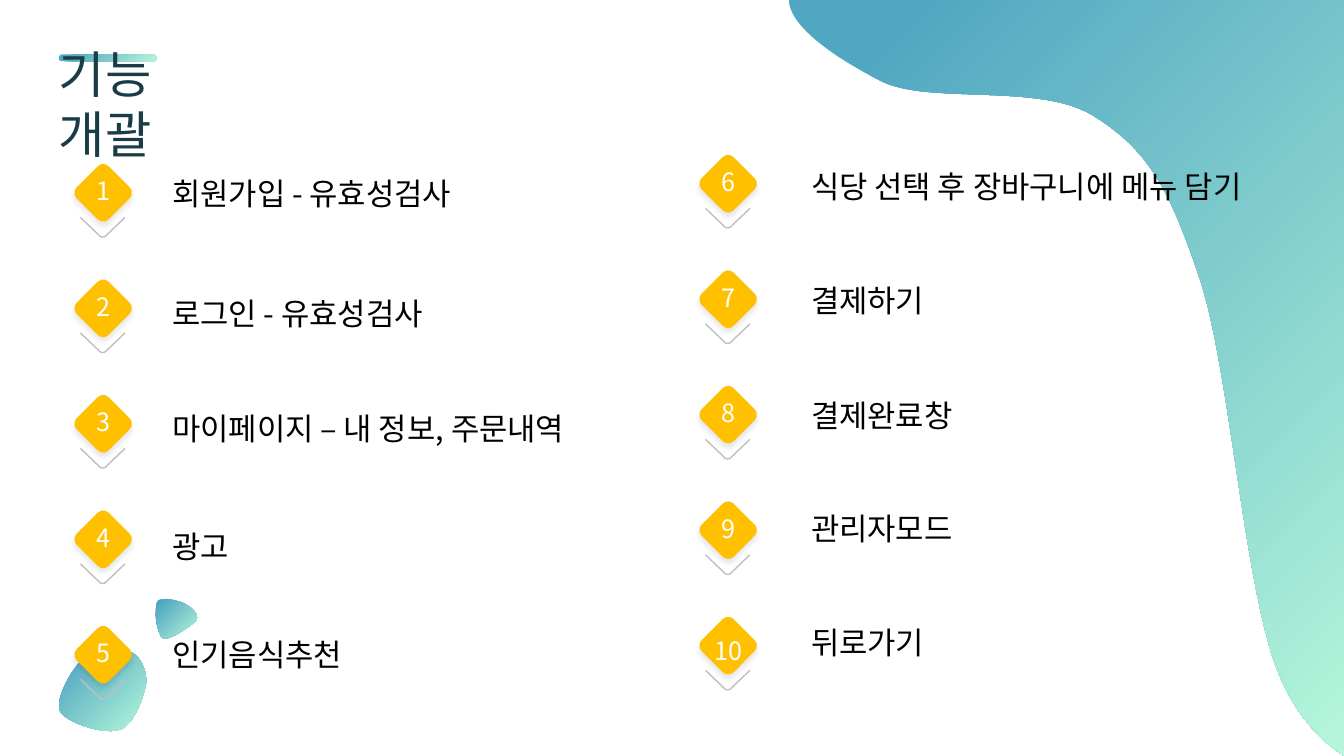
from lxml.etree import SubElement
from pptx import Presentation
from pptx.dml.color import RGBColor
from pptx.enum.shapes import MSO_SHAPE as Preset
from pptx.enum.text import MSO_ANCHOR as Anchor, PP_ALIGN as Align
from pptx.oxml import parse_xml
from pptx.oxml.ns import nsdecls, qn
from pptx.util import Cm, Pt

FONT = "Noto Sans CJK KR"
TEAL, MINT, AMBER, GREY = "51A7C2", "B5F6DA", "FFC000", "BFBFBF"
NAVY, BLACK, WHITE = "193C47", "000000", "FFFFFF"

# Outlines in cm: a start point, then lines (x, y) and curves (x1, y1, x2, y2, x, y)
WAVE = [
    (19.89, 0), (33.87, 0), (33.87, 19.05), (33.68, 18.92),
    (33.15, 18.52, 32.61, 17.91, 32.23, 16.99),
    (31.37, 14.94, 31.01, 9.4, 30.25, 7.06),
    (29.46, 4.7, 28.91, 3.76, 27.56, 2.92),
    (26.24, 2.08, 23.44, 2.64, 22.23, 2.06),
    (21.31, 1.6, 19.99, 0.79, 19.89, 0.08),
]
BLOB = [
    (2.06, 16.64),
    (1.78, 16.89, 1.37, 17.65, 1.52, 17.93),
    (1.7, 18.24, 2.67, 18.52, 3.02, 18.39),
    (3.38, 18.26, 3.63, 17.55, 3.68, 17.22),
    (3.71, 16.89, 3.53, 16.51, 3.25, 16.41),
    (2.97, 16.31, 2.34, 16.38, 2.06, 16.64),
]
PEBBLE = [
    (3.96, 15.16),
    (3.86, 15.32, 3.96, 16, 4.11, 16.08),
    (4.29, 16.15, 4.85, 15.75, 4.95, 15.62),
    (5.03, 15.47, 4.8, 15.29, 4.65, 15.21),
    (4.5, 15.14, 4.04, 15.01, 3.96, 15.16),
]
CHEVRON = [(1.12, 1.19), (0.66, 1.63), (0.61, 1.7, 0.51, 1.7, 0.46, 1.63), (0, 1.19)]

BADGE_SIZE, BADGE_STEP = 1.14, 2.91
# Badge left, first badge top, text left, and each feature with its top
COLUMNS = [
    (2.03, 4.29, 4.09, [
        ("회원가입 - 유효성검사", 4.29),
        ("로그인 - 유효성검사", 7.29),
        ("마이페이지 – 내 정보, 주문내역", 10.19),
        ("광고", 13.18),
        ("인기음식추천", 15.9),
    ]),
    (17.78, 4.06, 20.19, [
        ("식당 선택 후 장바구니에 메뉴 담기", 4.11),
        ("결제하기", 6.98),
        ("결제완료창", 9.86),
        ("관리자모드", 12.73),
        ("뒤로가기", 15.6),
    ]),
]


def color(value):
    return RGBColor.from_string(value)


def fill_gradient(shape):
    shape.fill.gradient()
    shape.fill.gradient_angle = 315
    for stop, value, position in zip(shape.fill.gradient_stops, (TEAL, MINT), (0.1, 1)):
        stop.color.rgb = color(value)
        stop.position = position
    shape.line.fill.background()
    shape.shadow.inherit = False


def trace(outline, steps=24):
    """Turn lines and cubic curves into a list of points."""
    points = [outline[0]]
    for segment in outline[1:]:
        if len(segment) == 2:
            points.append(segment)
            continue
        nodes = [points[-1], segment[:2], segment[2:4], segment[4:]]
        for step in range(1, steps + 1):
            t = step / steps
            weights = ((1 - t) ** 3, 3 * t * (1 - t) ** 2, 3 * t * t * (1 - t), t ** 3)
            points.append(tuple(
                sum(weight * node[axis] for weight, node in zip(weights, nodes))
                for axis in (0, 1)))
    return points


def add_outline(page, outline, left=0, top=0, close=True):
    points = [(Cm(left + x), Cm(top + y)) for x, y in trace(outline)]
    builder = page.shapes.build_freeform(*points[0])
    builder.add_line_segments(points[1:], close=close)
    return builder.convert_to_shape()


def write(box, text, size, value, align=Align.LEFT):
    box.text_frame.word_wrap = True
    para = box.text_frame.paragraphs[0]
    para.alignment = align
    para.line_spacing = 1.0
    span = para.add_run()
    span.text = text
    span.font.size = Pt(size)
    span.font.name = FONT
    span.font.color.rgb = color(value)
    SubElement(span.font._element, qn("a:ea")).set("typeface", FONT)


def clear_insets(box):
    frame = box.text_frame
    frame.margin_left = frame.margin_right = frame.margin_top = frame.margin_bottom = 0
    frame.vertical_anchor = Anchor.MIDDLE


def add_title(page):
    bar = page.shapes.add_shape(
        Preset.ROUNDED_RECTANGLE, Cm(1.48), Cm(1.37), Cm(2.46), Cm(0.18))
    bar.adjustments[0] = 0.5
    fill_gradient(bar)
    title = page.shapes.title
    title.left, title.top, title.width, title.height = Cm(1.48), Cm(1.83), Cm(4.8), Cm(1.55)
    clear_insets(title)
    write(title, "기능 개괄", 36, NAVY)
    title.element.getparent().append(title.element)  # in front of the bar


def add_soft_shadow(shape):
    shape.shadow.inherit = False
    effects = shape.element.spPr.find(qn("a:effectLst"))
    effects.append(parse_xml(
        f'<a:outerShdw {nsdecls("a")} blurRad="{Pt(4)}" dist="{Pt(3)}" dir="5400000" '
        f'algn="t" rotWithShape="0"><a:srgbClr val="{BLACK}"><a:alpha val="10000"/>'
        '</a:srgbClr></a:outerShdw>'))


def add_badge(page, number, left, top):
    diamond = page.shapes.add_shape(
        Preset.ROUNDED_RECTANGLE, Cm(left), Cm(top), Cm(BADGE_SIZE), Cm(BADGE_SIZE))
    diamond.rotation = 45
    diamond.fill.solid()
    diamond.fill.fore_color.rgb = color(AMBER)
    diamond.line.fill.background()
    add_soft_shadow(diamond)

    chevron = add_outline(page, CHEVRON, left, top, close=False)
    chevron.fill.background()
    chevron.line.color.rgb = color(GREY)
    chevron.line.width = Pt(1)
    chevron.shadow.inherit = False

    drop = 0.13 if number > 9 else -0.05
    label = page.shapes.add_textbox(
        Cm(left), Cm(top + drop), Cm(BADGE_SIZE), Cm(BADGE_SIZE))
    clear_insets(label)
    write(label, str(number), 18, WHITE, Align.CENTER)


def add_feature(page, text, left, top):
    box = page.shapes.add_textbox(Cm(left), Cm(top), Cm(11.46), Cm(1.19))
    write(box, text, 22, BLACK)


def main():
    deck = Presentation()
    deck.slide_width, deck.slide_height = Cm(33.87), Cm(19.05)
    page = deck.slides.add_slide(deck.slide_layouts[5])
    for outline in (BLOB, WAVE, PEBBLE):
        fill_gradient(add_outline(page, outline))
    add_title(page)
    number = 0
    for badge_left, first_top, text_left, features in COLUMNS:
        for row, (text, text_top) in enumerate(features):
            number += 1
            add_badge(page, number, badge_left, first_top + row * BADGE_STEP)
            add_feature(page, text, text_left, text_top)
    deck.save("out.pptx")


if __name__ == "__main__":
    main()
